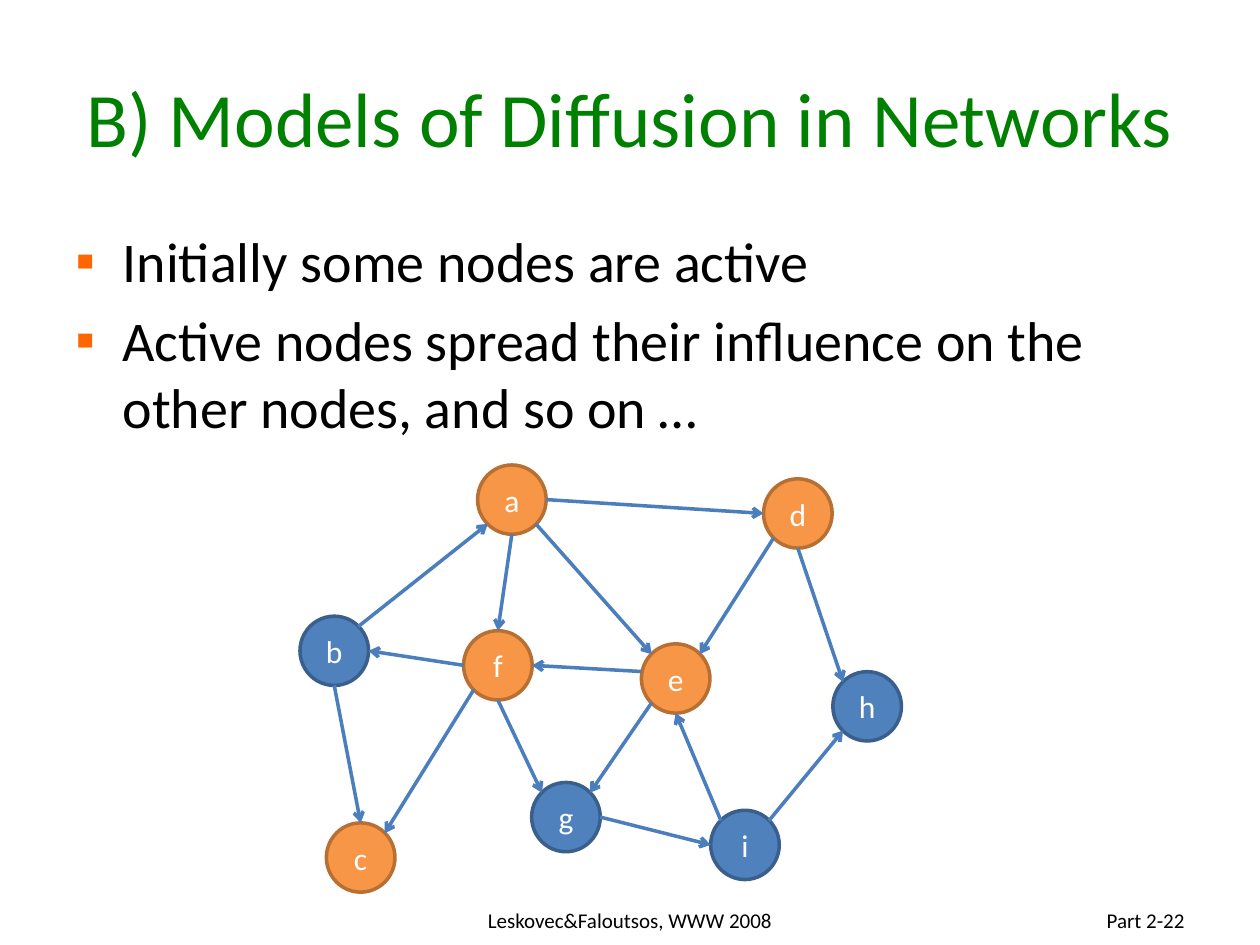
from lxml.etree import SubElement
from pptx import Presentation
from pptx.dml.color import RGBColor
from pptx.enum.shapes import MSO_CONNECTOR, MSO_SHAPE
from pptx.enum.text import MSO_ANCHOR, PP_ALIGN
from pptx.oxml.ns import qn
from pptx.util import Pt

GREEN = RGBColor(0x00, 0x80, 0x00)
BLACK = RGBColor(0x00, 0x00, 0x00)
WHITE = RGBColor(0xFF, 0xFF, 0xFF)
BLUE = RGBColor(0x4F, 0x81, 0xBD)
BLUE_EDGE = RGBColor(0x3A, 0x5F, 0x8C)
ORANGE = RGBColor(0xF7, 0x96, 0x46)
ORANGE_EDGE = RGBColor(0xB7, 0x6F, 0x34)
ARROW = RGBColor(0x4B, 0x7E, 0xBC)
BULLET = "FF6600"

# Content
TITLE = "B) Models of Diffusion in Networks"
BULLETS = [
    "Initially some nodes are active",
    "Active nodes spread their influence on the other nodes, and so on …",
]
FOOTER = "Leskovec&Faloutsos, WWW 2008"
PAGE_NUMBER = "Part 2-22"

ACTIVE = "acdef"
NODES = {  # left and top of each node
    "a": (272.9, 265.7), "b": (171.4, 352.1), "c": (186.5, 470.2),
    "d": (436.3, 273.6), "e": (366.5, 367.9), "f": (264.9, 360.4),
    "g": (303.8, 447.1), "h": (475.9, 383.8), "i": (406.1, 463),
}
NODE_WIDTH, NODE_HEIGHT = 39.2, 39.6

# Places on a node's rim, as fractions of its width and height
RIM = {
    "top": (0.5, 0), "bottom": (0.5, 1), "left": (0, 0.5), "right": (1, 0.5),
    "top left": (0.15, 0.15), "top right": (0.85, 0.15),
    "bottom left": (0.15, 0.85), "bottom right": (0.85, 0.85),
    "upper left": (0, 0.4),
}
EDGES = [
    ("d", "bottom", "h", "top left"),
    ("a", "right", "d", "left"),
    ("f", "left", "b", "right"),
    ("g", "right", "i", "left"),
    ("d", "bottom left", "e", "top right"),
    ("a", "bottom", "f", "top"),
    ("b", "bottom", "c", "top"),
    ("e", "bottom left", "g", "top right"),
    ("e", "upper left", "f", "right"),
    ("f", "bottom", "g", "top left"),
    ("f", "bottom left", "c", "top right"),
    ("i", "top right", "h", "bottom left"),
    ("i", "top left", "e", "bottom"),
    ("a", "bottom right", "e", "top left"),
    ("b", "top right", "a", "bottom left"),
]


def set_font(para, size, color):
    for name, value in {"name": "Calibri", "size": Pt(size)}.items():
        setattr(para.font, name, value)
    para.font.color.rgb = color


def add_text(page, place, lines, size, color, align, anchor, bullets=False):
    box = page.shapes.add_textbox(*map(Pt, place))
    frame = box.text_frame
    frame.word_wrap = True
    frame.vertical_anchor = anchor
    for index, line in enumerate(lines):
        para = frame.add_paragraph() if index else frame.paragraphs[0]
        para.text = line
        para.alignment = align
        if index:
            para.space_before = Pt(size * 0.2)
        if bullets:
            add_bullet(para)
        set_font(para, size, color)


def add_bullet(para):
    props = para._p.get_or_add_pPr()
    props.set("marL", str(Pt(27)))
    props.set("indent", str(Pt(-27)))
    SubElement(SubElement(props, qn("a:buClr")), qn("a:srgbClr"), val=BULLET)
    SubElement(props, qn("a:buFont"), typeface="Arial")
    SubElement(props, qn("a:buChar"), char="▪")


def rim_point(node, side):
    left, top = NODES[node]
    across, down = RIM[side]
    return Pt(left + across * NODE_WIDTH), Pt(top + down * NODE_HEIGHT)


def add_edge(page, source, source_side, target, target_side):
    edge = page.shapes.add_connector(
        MSO_CONNECTOR.STRAIGHT,
        *rim_point(source, source_side), *rim_point(target, target_side))
    edge.line.color.rgb = ARROW
    edge.line.width = Pt(2)
    SubElement(edge.line._get_or_add_ln(), qn("a:tailEnd"), type="arrow")
    SubElement(edge._element.spPr, qn("a:effectLst"))


def add_node(page, label, left, top):
    node = page.shapes.add_shape(
        MSO_SHAPE.OVAL, Pt(left), Pt(top), Pt(NODE_WIDTH), Pt(NODE_HEIGHT))
    active = label in ACTIVE
    node.shadow.inherit = False
    node.fill.solid()
    node.fill.fore_color.rgb = ORANGE if active else BLUE
    node.line.color.rgb = ORANGE_EDGE if active else BLUE_EDGE
    node.line.width = Pt(2)
    frame = node.text_frame
    frame.vertical_anchor = MSO_ANCHOR.MIDDLE
    para = frame.paragraphs[0]
    para.text = label
    para.alignment = PP_ALIGN.CENTER
    set_font(para, 18, WHITE)


def main():
    deck = Presentation()
    deck.slide_width, deck.slide_height = Pt(720), Pt(540)
    page = deck.slides.add_slide(deck.slide_layouts[6])

    # Title and bullets
    add_text(page, (36, 21.6, 648, 90), [TITLE], 44, GREEN,
             PP_ALIGN.CENTER, MSO_ANCHOR.MIDDLE)
    add_text(page, (36, 126, 648, 356.4), BULLETS, 32, BLACK,
             PP_ALIGN.LEFT, MSO_ANCHOR.TOP, bullets=True)

    # Network
    for label, (left, top) in NODES.items():
        add_node(page, label, left, top)
    for edge in EDGES:
        add_edge(page, *edge)

    # Footer
    add_text(page, (246, 511.2, 228, 28.8), [FOOTER], 12, BLACK,
             PP_ALIGN.CENTER, MSO_ANCHOR.MIDDLE)
    add_text(page, (516, 511.2, 168, 28.8), [PAGE_NUMBER], 12, BLACK,
             PP_ALIGN.RIGHT, MSO_ANCHOR.MIDDLE)

    deck.save("out.pptx")


if __name__ == "__main__":
    main()
